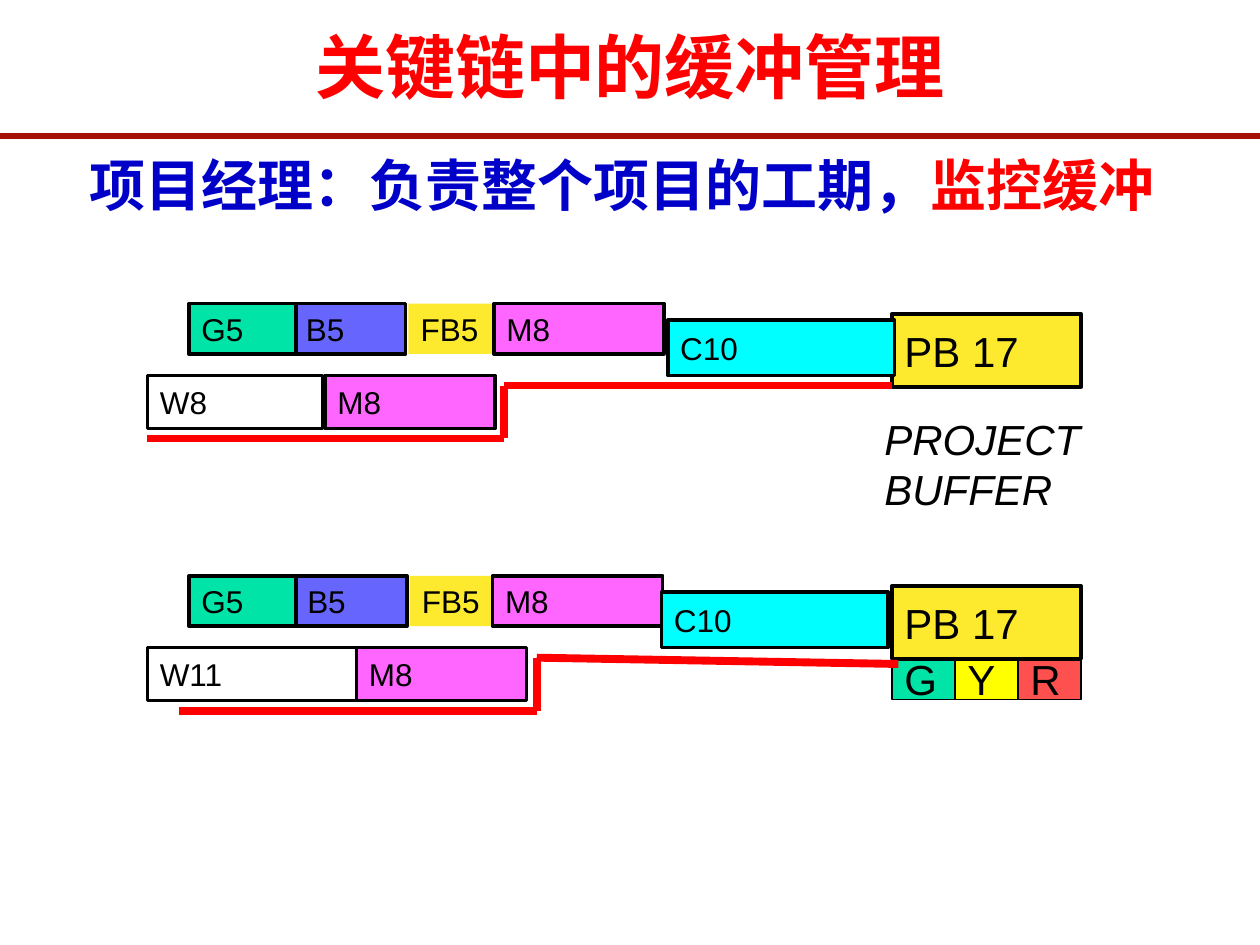
from itertools import pairwise

from lxml.etree import SubElement
from pptx import Presentation
from pptx.dml.color import RGBColor
from pptx.enum.shapes import MSO_CONNECTOR as Connector, MSO_SHAPE as Preset
from pptx.enum.text import MSO_ANCHOR as Anchor, PP_ALIGN as Align
from pptx.oxml.ns import qn
from pptx.util import Inches, Pt

BLACK = RGBColor(0x00, 0x00, 0x00)
WHITE = RGBColor(0xFF, 0xFF, 0xFF)
RED = RGBColor(0xFF, 0x00, 0x00)
DARK_RED = RGBColor(0xA3, 0x12, 0x03)
BLUE = RGBColor(0x00, 0x00, 0xC8)
GREEN = RGBColor(0x00, 0xE4, 0xA8)
VIOLET = RGBColor(0x66, 0x66, 0xFF)
PINK = RGBColor(0xFF, 0x66, 0xFF)
CYAN = RGBColor(0x00, 0xFF, 0xFF)
GOLD = RGBColor(0xFD, 0xE9, 0x2D)
YELLOW = RGBColor(0xFF, 0xFF, 0x00)
CORAL = RGBColor(0xFF, 0x50, 0x50)

LATIN = "Arial"
CHINESE = "Noto Sans CJK SC"


class BufferSlide:
    def __init__(self, slide):
        self.slide = slide
        self.canvas = slide.shapes

    def start_group(self):
        self.canvas = self.slide.shapes.add_group_shape().shapes

    def end_group(self):
        self.canvas = self.slide.shapes

    def add_run(self, paragraph, text, size, color=BLACK, font=LATIN, bold=False, italic=False):
        run = paragraph.add_run()
        run.text = text
        run.font.name = font
        run.font.size = Pt(size)
        run.font.bold = bold
        run.font.italic = italic
        run.font.color.rgb = color
        if font == CHINESE:
            SubElement(run.font._element, qn("a:ea")).set("typeface", font)

    def title(self, text, left, top, width, height):
        shape = self.slide.shapes.title
        shape.left, shape.top = Inches(left), Inches(top)
        shape.width, shape.height = Inches(width), Inches(height)
        shape.fill.solid()
        shape.fill.fore_color.rgb = WHITE
        shape.text_frame.vertical_anchor = Anchor.TOP
        paragraph = shape.text_frame.paragraphs[0]
        paragraph.alignment = Align.CENTER
        self.add_run(paragraph, text, 40, RED, CHINESE, bold=True)

    def text(self, left, top, width, height):
        shape = self.canvas.add_textbox(Inches(left), Inches(top), Inches(width), Inches(height))
        shape.text_frame.word_wrap = True
        return shape.text_frame.paragraphs[0]

    def box(self, label, left, top, width, height, fill, size=18, line=2):
        shape = self.canvas.add_shape(
            Preset.RECTANGLE, Inches(left), Inches(top), Inches(width), Inches(height))
        shape.shadow.inherit = False
        shape.fill.solid()
        shape.fill.fore_color.rgb = fill
        if line:
            shape.line.color.rgb = BLACK
            shape.line.width = Pt(line)
        else:
            shape.line.fill.background()
        shape.text_frame.vertical_anchor = Anchor.MIDDLE
        paragraph = shape.text_frame.paragraphs[0]
        paragraph.alignment = Align.LEFT
        self.add_run(paragraph, label, size)

    def line(self, start, end, color, width):
        connector = self.canvas.add_connector(
            Connector.STRAIGHT, *(Inches(value) for value in (*start, *end)))
        connector.line.color.rgb = color
        connector.line.width = Pt(width)
        SubElement(connector._element.spPr, qn("a:effectLst"))

    def chain(self, top, first_label, first_width, lefts, critical_points, grouped=False):
        lower = top + 0.57
        self.box("PB 17", 7.08, top + 0.08, 1.5, 0.58, GOLD, size=24, line=2.25)
        self.box(first_label, 1.17, lower, first_width, 0.42, WHITE)
        if grouped:
            self.start_group()
        buffer, task_b, task_m, task_c, lower_m = lefts
        self.box("FB5", buffer, top, 0.68, 0.4, GOLD, line=0)
        self.box("B5", task_b, top, 0.89, 0.4, VIOLET)
        self.box("M8", task_m, top, 1.35, 0.4, PINK)
        self.box("C10", task_c, top + 0.13, 1.8, 0.44, CYAN)
        self.box("G5", 1.5, top, 0.85, 0.4, GREEN)
        self.box("M8", lower_m, lower, 1.35, 0.42, PINK)
        points = [(x, top + offset) for x, offset in critical_points]
        for start, end in pairwise(points):
            self.line(start, end, RED, 4.5)
        self.end_group()


def main():
    presentation = Presentation()
    presentation.slide_width = Inches(10)
    presentation.slide_height = Inches(7.5)
    page = BufferSlide(presentation.slides.add_slide(presentation.slide_layouts[5]))

    page.title("关键链中的缓冲管理", 0, 0.14, 10, 0.77)
    page.line((0, 1.08), (10, 1.08), DARK_RED, 3)

    heading = page.text(0.61, 1.25, 8.79, 0.52)
    heading.line_spacing = 0.8
    page.add_run(heading, "项目经理：负责整个项目的工期，", 32, BLUE, CHINESE, bold=True)
    page.add_run(heading, "监控缓冲", 32, RED, CHINESE, bold=True)

    caption = page.text(6.92, 3.23, 1.88, 0.9)
    page.add_run(caption, "PROJECT BUFFER", 24, italic=True)

    page.start_group()
    for index, (label, fill) in enumerate((("G", GREEN), ("Y", YELLOW), ("R", CORAL))):
        page.box(label, 7.08 + index * 0.5, 5.22, 0.5, 0.33, fill, size=24, line=0.75)
    page.end_group()

    page.chain(2.41, "W8", 1.39, (3.24, 2.33, 3.92, 5.3, 2.58),
               ((1.17, 1.07), (4, 1.07), (4, 0.65), (7.08, 0.65)))
    page.chain(4.57, "W11", 1.67, (3.25, 2.34, 3.91, 5.25, 2.83),
               ((1.42, 1.07), (4.26, 1.07), (4.26, 0.65), (7.13, 0.7)), grouped=True)

    presentation.save("out.pptx")


if __name__ == "__main__":
    main()
